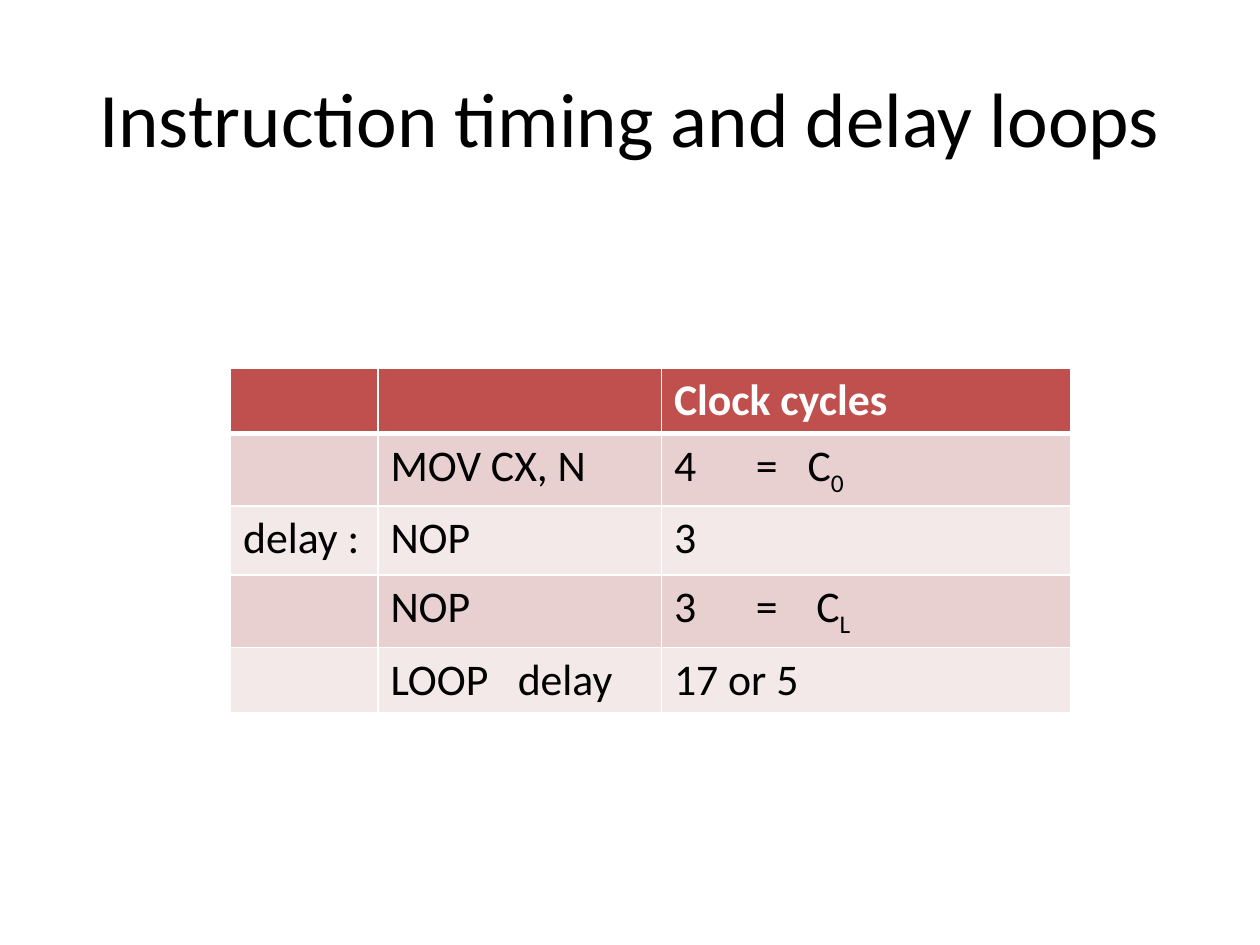
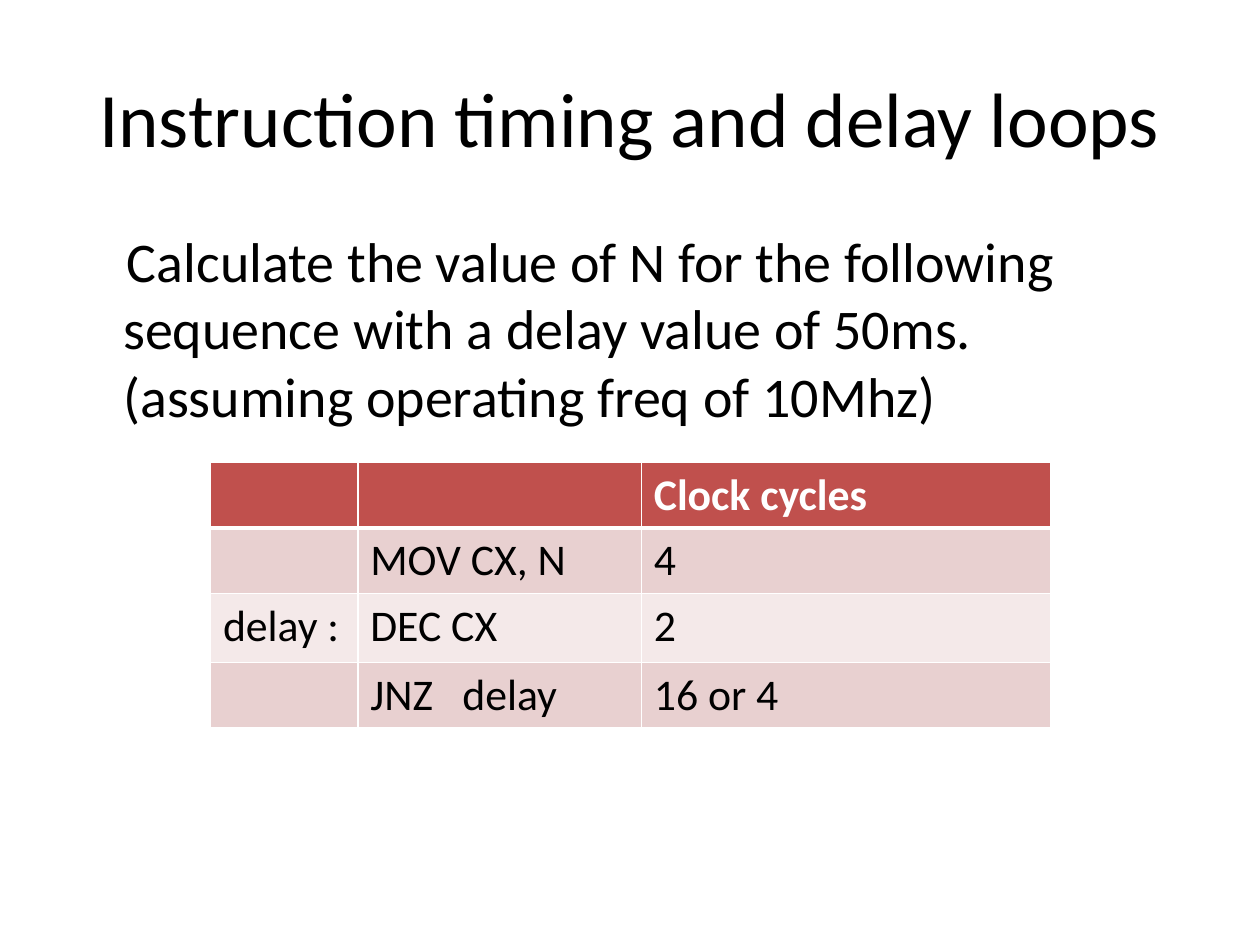
import pptx
import pptx.dml.color
import pptx.enum.text
import pptx.oxml
import pptx.oxml.ns
import pptx.util
from pptx.util import Inches, Pt

COLORS = {"text": "000000", "white": "FFFFFF", "header": "C0504D",
          "band_dark": "E8D0D0", "band_light": "F4E9E9"}
FONT = "Calibri"
TITLE = "Instruction timing and delay loops"
COLUMN_WIDTHS = (1.17, 2.25, 3.25)
ROW_HEIGHT, LABEL_ROW_HEIGHT = 0.52, 0.55
HEADER = ("", "", "Clock cycles")

LOOP_ROWS = [
    HEADER,
    ("", "MOV CX, N", ("4\t=\tC", "0", (0.65, 1.06))),
    ("delay :", "NOP", "3"),
    ("", "NOP", ("3\t=\tC", "L", (0.65, 1.13))),
    ("", ("LOOP\tdelay", "", (1.01,)), "17 or 5"),
]
EXERCISE_ROWS = [
    HEADER,
    ("", "MOV CX, N", "4"),
    ("delay :", "DEC CX", "2"),
    ("", ("JNZ\tdelay", "", (0.73,)), "16 or 4"),
]
QUESTION = ("Calculate the value of N for the following sequence with a delay "
            "value of 50ms.(assuming operating freq of 10Mhz)")


def rgb(name):
    """Return the named colour."""
    return pptx.dml.color.RGBColor.from_string(COLORS[name])


def style(p, size, color="text", bold=False):
    """Set the font of a paragraph."""
    p.font.name, p.font.size, p.font.bold = FONT, Pt(size), bold
    p.font.color.rgb = rgb(color)


def add_text(slide, box, text, size):
    """Add a wrapping text box and return its frame and paragraph."""
    tf = slide.shapes.add_textbox(*map(Inches, box)).text_frame
    tf.word_wrap = True
    p = tf.paragraphs[0]
    p.add_run().text = text
    style(p, size)
    return tf, p


def add_title(slide, box):
    """Add the shared centred title."""
    tf, p = add_text(slide, box, TITLE, 44)
    tf.vertical_anchor = pptx.enum.text.MSO_ANCHOR.MIDDLE
    p.alignment = pptx.enum.text.PP_ALIGN.CENTER


def add_question(slide, box):
    """Add the exercise text with its left indent."""
    p = add_text(slide, box, QUESTION, 32)[1]
    p.space_before = Pt(6.4)
    pPr = p._p.get_or_add_pPr()
    pPr.set("marL", str(Inches(0.38)))
    pPr.set("indent", str(Inches(0.03)))


def set_tabs(p, stops):
    """Give a paragraph left tab stops in inches."""
    tabs = "".join(f'<a:tab pos="{Inches(s)}" algn="l"/>' for s in stops)
    p._p.get_or_add_pPr().insert(0, pptx.oxml.parse_xml(
        f'<a:tabLst {pptx.oxml.ns.nsdecls("a")}>{tabs}</a:tabLst>'))


def set_borders(cell, top, bottom):
    """Draw white cell borders, one point wide at the sides."""
    tcPr = cell._tc.get_or_add_tcPr()
    for i, (side, width) in enumerate(zip("LRTB", (1, 1, top, bottom))):
        tcPr.insert(i, pptx.oxml.parse_xml(
            f'<a:ln{side} {pptx.oxml.ns.nsdecls("a")} w="{Pt(width)}">'
            f'<a:solidFill><a:srgbClr val="{COLORS["white"]}"/></a:solidFill>'
            f'</a:ln{side}>'))


def fill_cell(cell, content, row):
    """Write and colour one cell by its row."""
    header = row == 0
    band = "header" if header else "band_dark" if row % 2 else "band_light"
    cell.fill.solid()
    cell.fill.fore_color.rgb = rgb(band)
    set_borders(cell, 3 if row == 1 else 1, 3 if header else 1)
    text, subscript, stops = (content, "", ()) if isinstance(content, str) else content
    p = cell.text_frame.paragraphs[0]
    if stops:
        set_tabs(p, stops)
    if text:
        p.add_run().text = text
    if subscript:
        r = p.add_run()
        r.text = subscript
        r._r.get_or_add_rPr().set("baseline", "-25000")
    style(p, 25, "white" if header else "text", header)


def add_cycles_table(slide, left, top, rows):
    """Add a table of instructions and their clock cycles."""
    heights = [LABEL_ROW_HEIGHT if row[0] else ROW_HEIGHT for row in rows]
    table = slide.shapes.add_table(
        len(rows), len(COLUMN_WIDTHS), Inches(left), Inches(top),
        Inches(sum(COLUMN_WIDTHS)), Inches(sum(heights))).table
    table.first_row = table.horz_banding = False
    for column, width in zip(table.columns, COLUMN_WIDTHS):
        column.width = Inches(width)
    for i, row in enumerate(rows):
        table.rows[i].height = Inches(heights[i])
        for j, content in enumerate(row):
            fill_cell(table.cell(i, j), content, i)


def add_slide(prs):
    """Add a blank slide with the shared title."""
    slide = prs.slides.add_slide(prs.slide_layouts[6])
    add_title(slide, (0.5, 0.3, 9, 1.25))
    return slide


def main():
    """Build and save the two slides."""
    prs = pptx.Presentation()
    prs.slide_width, prs.slide_height = Inches(10), Inches(7.5)
    add_cycles_table(add_slide(prs), 1.83, 2.92, LOOP_ROWS)
    exercise = add_slide(prs)
    add_question(exercise, (0.5, 1.75, 9, 4.95))
    add_cycles_table(exercise, 1.67, 3.67, EXERCISE_ROWS)
    prs.save("out.pptx")


if __name__ == "__main__":
    main()
